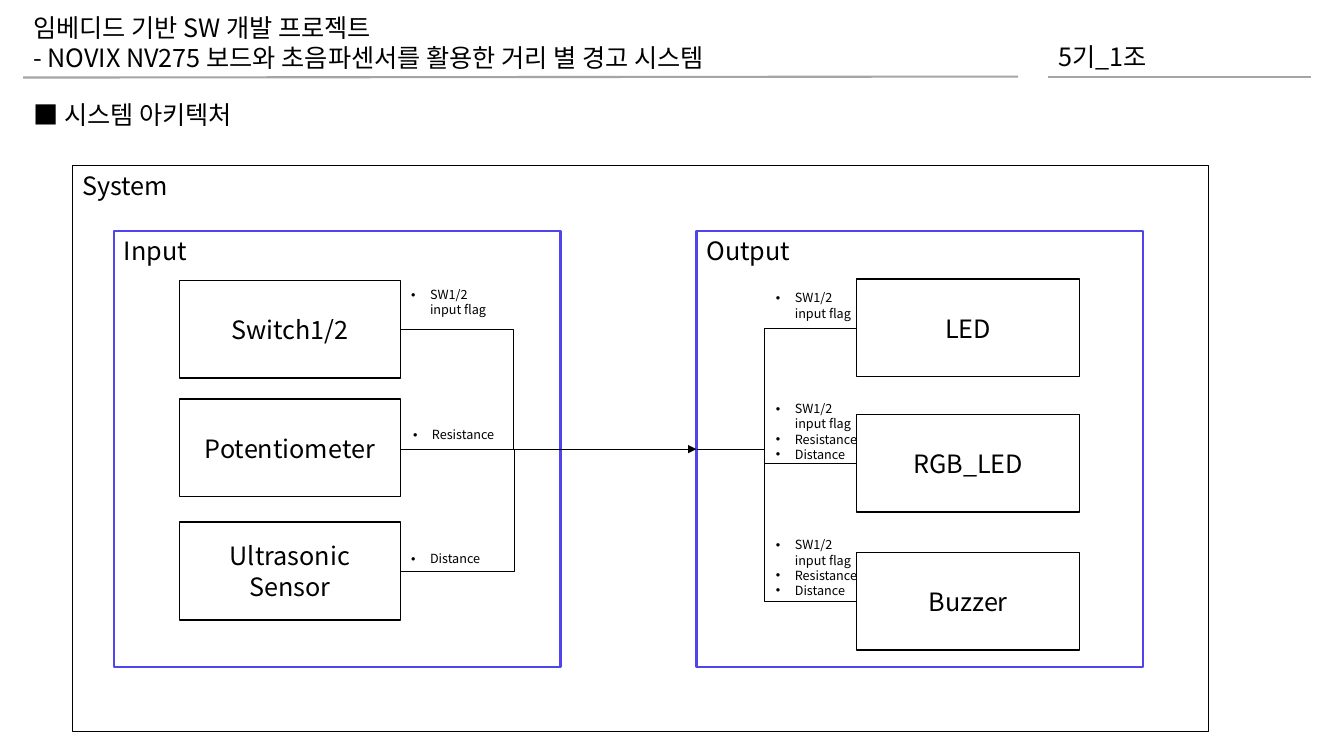
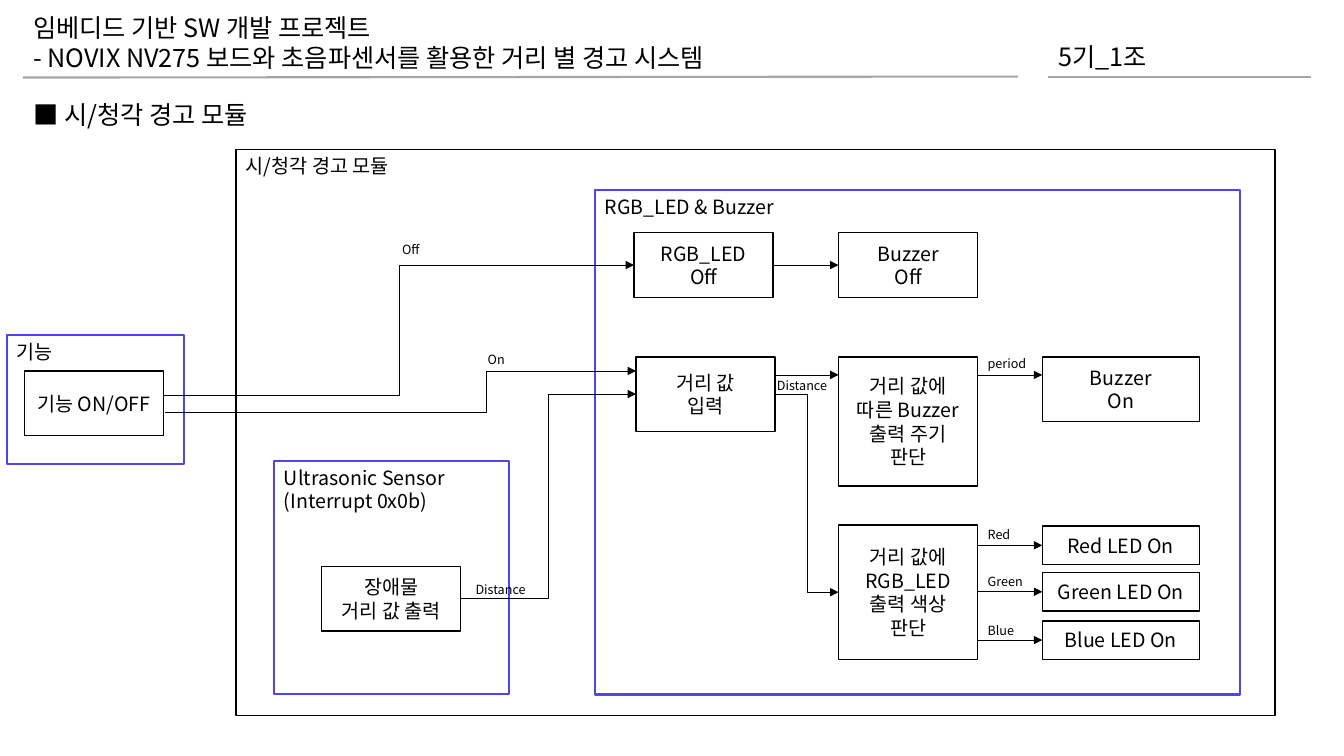
import pptx
import pptx.util
import pptx.dml.color
import pptx.enum.shapes
import pptx.enum.text
import pptx.oxml
import pptx.oxml.ns

Pt = pptx.util.Pt
ALIGN = pptx.enum.text.PP_ALIGN
ANCHOR = pptx.enum.text.MSO_ANCHOR
SHAPE = pptx.enum.shapes.MSO_SHAPE
CONNECTOR = pptx.enum.shapes.MSO_CONNECTOR
qn = pptx.oxml.ns.qn


def rgb(value):
    return pptx.dml.color.RGBColor.from_string(value)


def add_xml(parent, tag, **attrs):
    """Append a DrawingML element and return it."""
    child = parent.makeelement(qn(tag), attrs)
    parent.append(child)
    return child


class Deck:
    FONT = "Noto Sans CJK KR"
    BLACK, WHITE, GRAY, BLUE = "000000", "FFFFFF", "A5A5A5", "5044EC"
    LARGE, MEDIUM, SMALL = 18, 14, 9
    HEADER = ("임베디드 기반 SW 개발 프로젝트\n"
              "- NOVIX NV275 보드와 초음파센서를 활용한 거리 별 경고 시스템")
    TEAM = "5기_1조"
    RIGHT_SITE, LEFT_SITE = 3, 1

    def __init__(self):
        self.prs = pptx.Presentation()
        self.prs.slide_width, self.prs.slide_height = Pt(960), Pt(540)
        self.s = None

    def set_text(self, shape, text, size, align=ALIGN.LEFT, anchor=ANCHOR.TOP):
        tf = shape.text_frame
        tf.text = text
        tf.word_wrap = True
        tf.auto_size = pptx.enum.text.MSO_AUTO_SIZE.NONE
        tf.vertical_anchor = anchor
        for p in tf.paragraphs:
            p.alignment = align
            for br in p._p.findall(qn("a:br")):
                add_xml(br, "a:rPr", sz=str(size * 100))
            for r in p.runs:
                r.font.size = Pt(size)
                r.font.name = self.FONT
                r.font.color.rgb = rgb(self.BLACK)
                add_xml(r._r.get_or_add_rPr(), "a:ea", typeface=self.FONT)
        return tf

    def slide(self, title):
        """Start a slide with the shared header, rules and title."""
        self.s = self.prs.slides.add_slide(self.prs.slide_layouts[5])
        sp = self.s.shapes.title
        sp.left, sp.top, sp.width, sp.height = Pt(16.6), Pt(67), Pt(632), Pt(29)
        self.set_text(sp, "■ " + title, self.LARGE)
        self.wire(16.6, 55.4, 727.2, 54.7, color=self.GRAY, width=1.5)
        self.wire(748.8, 54.7, 936.7, 54.7, color=self.GRAY, width=1.5)
        self.label(748.8, 25.9, self.TEAM, 172.8, 28.8, self.LARGE)
        self.label(16.6, 5, self.HEADER, 583.2, 50, self.LARGE)

    def label(self, x, y, text, w=84.2, h=18, size=SMALL, bullets=False):
        sp = self.s.shapes.add_textbox(Pt(x), Pt(y), Pt(w), Pt(h))
        tf = self.set_text(sp, text, size)
        if bullets:
            for p in tf.paragraphs:
                pPr = p._p.get_or_add_pPr()
                pPr.set("marL", str(Pt(13.5)))
                pPr.set("indent", str(-Pt(13.5)))
                add_xml(pPr, "a:buFont", typeface="Arial")
                add_xml(pPr, "a:buChar", char="•")

    def rect(self, x, y, w, h, color, width):
        sp = self.s.shapes.add_shape(SHAPE.RECTANGLE, Pt(x), Pt(y), Pt(w), Pt(h))
        sp.shadow.inherit = False
        sp.fill.solid()
        sp.fill.fore_color.rgb = rgb(self.WHITE)
        sp.line.color.rgb = rgb(color)
        sp.line.width = Pt(width)
        return sp

    def frame(self, x, y, w, h, text, size, color=BLUE, width=1.5):
        sp = self.rect(x, y, w, h, color, width)
        self.set_text(sp, text, size)
        return sp

    def box(self, x, y, w, h, text, size=MEDIUM):
        sp = self.rect(x, y, w, h, self.BLACK, 1)
        self.set_text(sp, text, size, ALIGN.CENTER, ANCHOR.MIDDLE)
        return sp

    def wire(self, x1, y1, x2, y2, bend=None, arrow=False, color=BLACK, width=0.5):
        """Draw a straight line, or an elbow that turns at x = bend."""
        kind = CONNECTOR.STRAIGHT if bend is None else CONNECTOR.ELBOW
        cx = self.s.shapes.add_connector(kind, Pt(x1), Pt(y1), Pt(x2), Pt(y2))
        cx.line.color.rgb = rgb(color)
        cx.line.width = Pt(width)
        spPr = cx._element.spPr
        if bend is not None:
            ratio = round((bend - x1) / (x2 - x1) * 100000)
            guides = spPr.find(qn("a:prstGeom")).get_or_add_avLst()
            add_xml(guides, "a:gd", name="adj1", fmla=f"val {ratio}")
        if arrow:
            add_xml(spPr.find(qn("a:ln")), "a:tailEnd", type="triangle")
        add_xml(spPr, "a:effectLst")
        return cx

    def link(self, start, end):
        """Glue an arrow from the right side of one box to the left of the next."""
        cx = self.wire(0, 0, 1, 1, arrow=True)
        cx.begin_connect(start, self.RIGHT_SITE)
        cx.end_connect(end, self.LEFT_SITE)


deck = Deck()

# Slide 1: system architecture
deck.slide("시스템 아키텍처")
deck.frame(51.8, 118.1, 811.4, 404.6, "System", deck.LARGE, deck.BLACK, 1)
input_frame = deck.frame(81.4, 164.9, 319, 311.8, "Input", deck.LARGE)
output_frame = deck.frame(497.5, 164.9, 319, 311.8, "Output", deck.LARGE)
deck.link(input_frame, output_frame)

BOX_H, HUB_Y = 69.8, 320.8
FLAG = "SW1/2\vinput flag"
ALL_DATA = FLAG + "\nResistance\nDistance"

# Inputs: name, box top, bend, label text and place
for name, y, bend, data, label_x, label_y in [
        ("Switch1/2", 200.2, 366.5, FLAG, 286.6, 201.6),
        ("Potentiometer", 285.1, None, "Resistance", 288, 301.7),
        ("Ultrasonic Sensor", 373, 367.2, "Distance", 286.6, 390.2)]:
    deck.box(128.2, y, 157.7, BOX_H, name, deck.LARGE)
    start_y = HUB_Y if bend is None else y + BOX_H / 2
    deck.wire(285.9, start_y, 400.4, HUB_Y, bend)
    deck.label(label_x, label_y, data, h=28.8 if data == FLAG else 18, bullets=True)

# Outputs: name, box top, label text, top and height
for name, y, data, label_y, label_h in [
        ("LED", 199.4, FLAG, 203.8, 28.8),
        ("RGB_LED", 295.9, ALL_DATA, 283, 51),
        ("Buzzer", 394.6, ALL_DATA, 380.2, 51)]:
    deck.box(612, y, 159.1, BOX_H, name, deck.LARGE)
    deck.wire(497.5, HUB_Y, 612, y + BOX_H / 2, 545.8)
    deck.label(547.2, label_y, data, h=label_h, bullets=True)

# Slide 2: visual and audible warning module
deck.slide("시/청각 경고 모듈")
deck.frame(168.5, 106.6, 742.3, 404.6, "시/청각 경고 모듈", deck.MEDIUM, deck.BLACK, 1)
for x, y, w, h, name in [
        (195.8, 329, 167.8, 167, "Ultrasonic Sensor (Interrupt 0x0b)"),
        (5, 239, 126.7, 92.2, "기능"),
        (424.8, 135.4, 460.8, 360.7, "RGB_LED & Buzzer")]:
    deck.frame(x, y, w, h, name, deck.MEDIUM)

# Process boxes
STEP_W, STEP_H = 99.4, 46.1
deck.box(17.3, 265, STEP_W, STEP_H, "기능 ON/OFF")
deck.box(229.7, 404.6, STEP_W, STEP_H, "장애물\n거리 값 출력")
led_off = deck.box(452.9, 166.3, STEP_W, STEP_H, "RGB_LED\nOff")
buzzer_off = deck.box(599, 166.3, STEP_W, STEP_H, "Buzzer\nOff")
deck.box(454.3, 254.9, STEP_W, 53.3, "거리 값\n입력")
deck.box(599, 254.9, STEP_W, 92.2, "거리 값에\n따른 Buzzer 출력 주기\n판단")
deck.box(599, 375.1, STEP_W, 95.8, "거리 값에 RGB_LED\n출력 색상\n판단")
deck.box(744.5, 254.9, 112.3, STEP_H, "Buzzer\nOn")

# Signal arrows: start, end, bend
deck.link(led_off, buzzer_off)
for x1, y1, x2, y2, bend in [
        (116.7, 282.2, 452.9, 189.4, 285.1),
        (118, 294.5, 454.3, 265, 347.8),
        (329.1, 427.7, 454.3, 281.5, 391.7),
        (553.7, 267.8, 599, 267.8, None),
        (553.7, 281.5, 599, 423, 576.4),
        (698.4, 267.8, 744.5, 267.8, None)]:
    deck.wire(x1, y1, x2, y2, bend, arrow=True)

# LED colours: box, arrow and label
for color_name, y, label_y in [
        ("Red", 375.8, 373), ("Green", 409, 406.1), ("Blue", 443.5, 441.4)]:
    deck.box(744.5, y, 112.3, 27.4, color_name + " LED On")
    deck.wire(698.4, y + 13.7, 744.5, y + 13.7, arrow=True)
    deck.label(698.4, label_y, color_name)

# Signal names
for x, y, name in [
        (280.1, 169.2, "Off"), (341.3, 247.7, "On"), (332.6, 411.8, "Distance"),
        (547.9, 266.4, "Distance"), (698.4, 250.6, "period")]:
    deck.label(x, y, name)

deck.prs.save("out.pptx")
